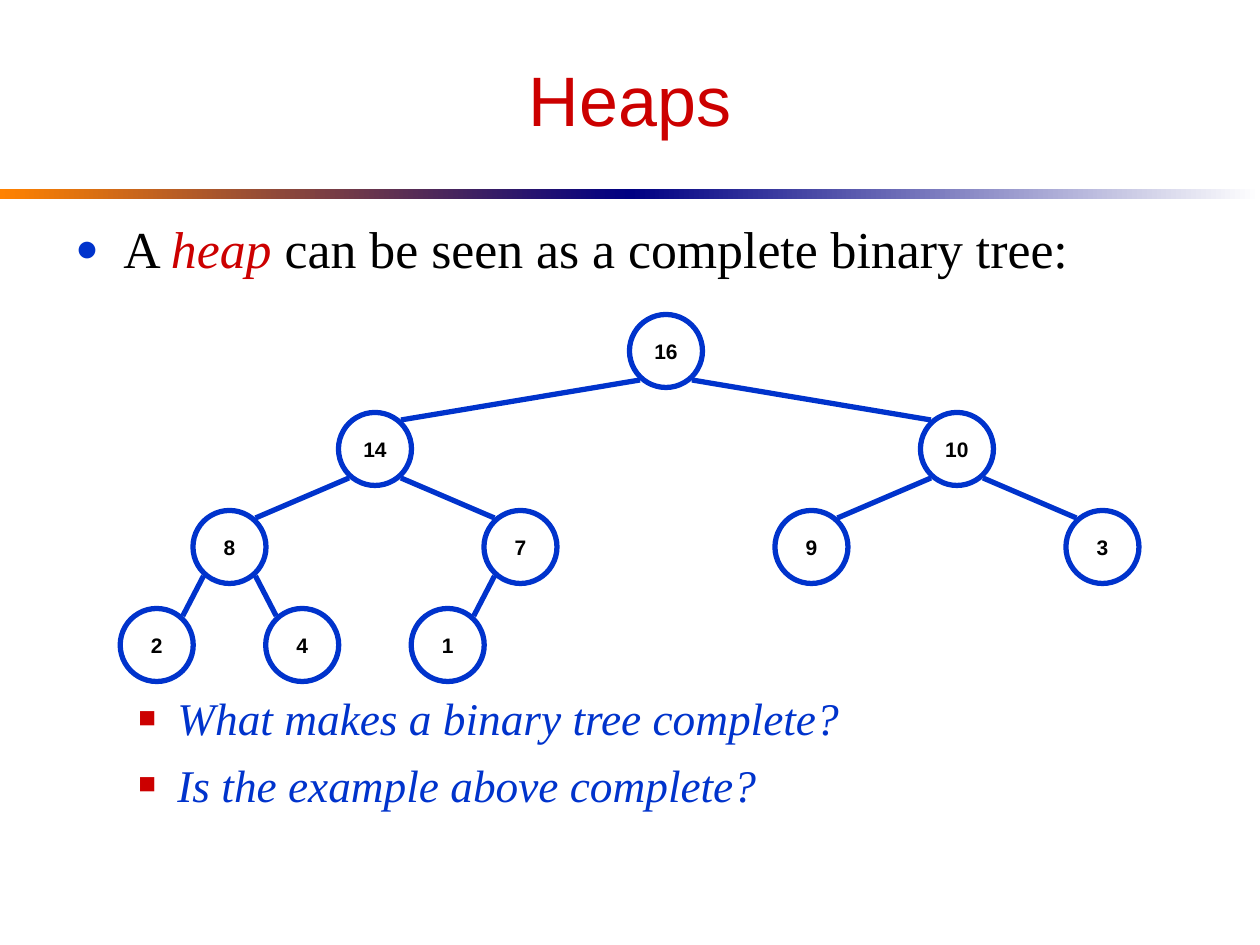
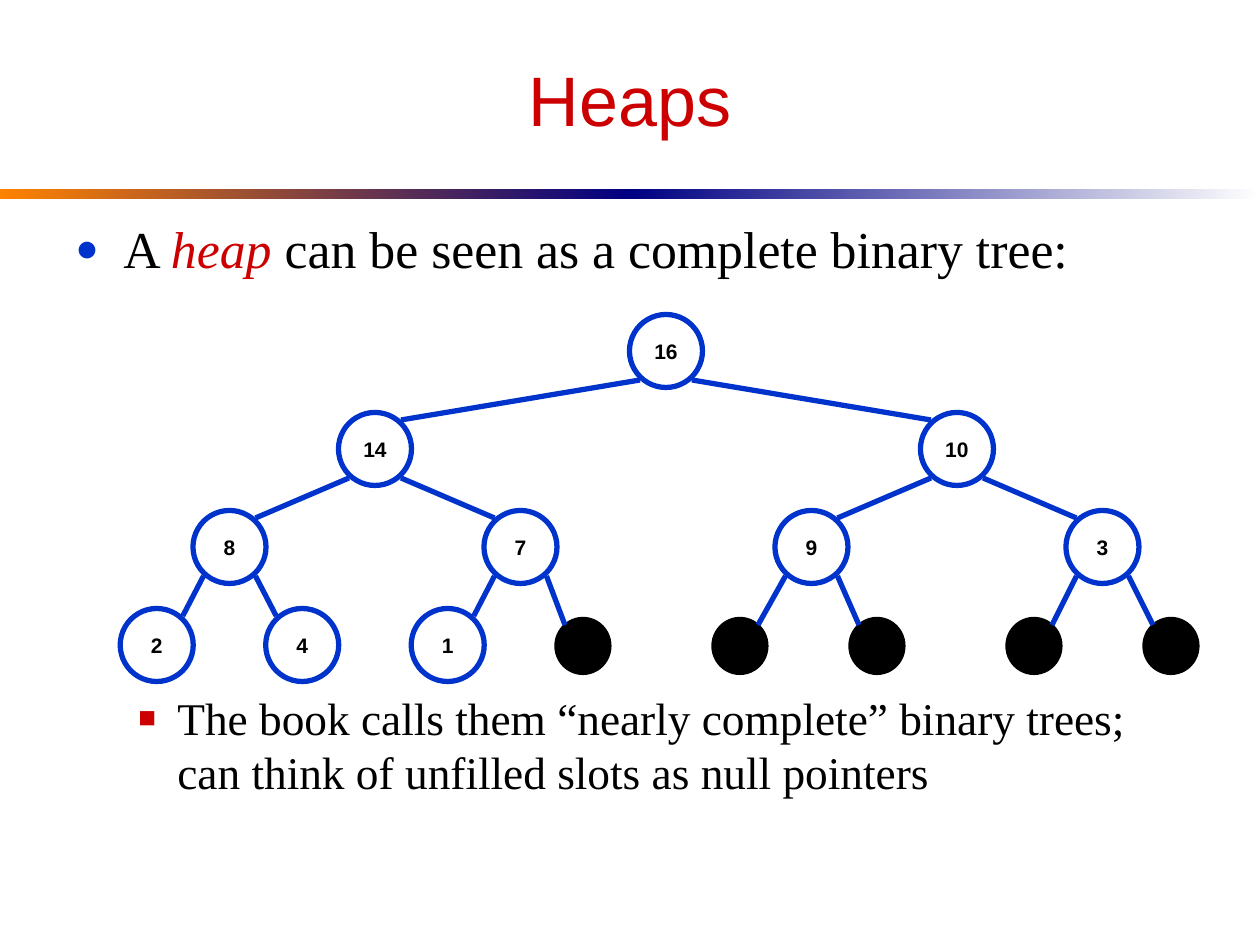
from dataclasses import dataclass
from typing import Optional

from lxml import etree
from pptx import Presentation
from pptx.dml.color import RGBColor
from pptx.enum.shapes import MSO_CONNECTOR, MSO_SHAPE
from pptx.enum.text import MSO_ANCHOR, PP_ALIGN
from pptx.oxml.ns import qn
from pptx.util import Emu, Pt

RECT, OVAL = MSO_SHAPE.RECTANGLE, MSO_SHAPE.OVAL
STRAIGHT = MSO_CONNECTOR.STRAIGHT
CENTER, MIDDLE = PP_ALIGN.CENTER, MSO_ANCHOR.MIDDLE
PX_PER_INCH = 126


@dataclass(frozen=True)
class Theme:
    red: str = "CC0000"
    blue: str = "0033CC"
    black: str = "000000"
    white: str = "FFFFFF"
    orange: str = "FF8200"
    navy: str = "000082"
    sans: str = "Arial"
    serif: str = "Times New Roman"
    title_pt: float = 40
    lead_pt: float = 29.6
    point_pt: float = 25.9
    node_pt: float = 12
    line_pt: float = 3


T = Theme()


@dataclass(frozen=True)
class Span:
    text: str
    size: float
    color: str = T.black
    font: str = T.serif
    bold: bool = False
    italic: bool = False


@dataclass(frozen=True)
class Bullet:
    char: str
    color: str
    percent: int
    margin: int
    hang: int
    leading: float


@dataclass(frozen=True)
class Band:
    left: int
    start: str
    end: str


@dataclass(frozen=True)
class Node:
    x: float
    y: float
    label: Optional[str] = None


@dataclass(frozen=True)
class HeapSlide:
    points: tuple[Span, ...]
    show_nulls: bool


LEAD_BULLET = Bullet("●", T.blue, 75, 48, 48, 35.5)
POINT_BULLET = Bullet("■", T.red, 65, 102, 39, 31)
POINT_GAP = 7
TREE_GAP = POINT_GAP + 6 * (POINT_BULLET.leading + POINT_GAP)

BANDS = (Band(0, T.orange, T.navy), Band(630, T.navy, T.white))
LEAD = (
    Span("A ", T.lead_pt),
    Span("heap", T.lead_pt, T.red, italic=True),
    Span(" can be seen as a complete binary tree:", T.lead_pt),
)
SLIDES = (
    HeapSlide((
        Span("What makes a binary tree complete?", T.point_pt, T.blue, italic=True),
        Span("Is the example above complete?", T.point_pt, T.blue, italic=True),
    ), False),
    HeapSlide((
        Span("The book calls them “nearly complete” binary trees; "
             "can think of unfilled slots as null pointers", T.point_pt),
    ), True),
)

HEAP = (16, 14, 10, 8, 7, 9, 3, 2, 4, 1)
FULL_TREE = 15
TREE_LEFT, TREE_WIDTH = 84, 1164
ROOT_Y, LEVEL_STEP = 351, 98
NODE_SIZE = 73
NODE_JOINT = (26, 29)
NULL_W, NULL_H = 52, 53
NULL_JOINT = (18, 21)
NULL_LEFT, NULL_RIGHT, NULL_STEP = 152, 289, 294


def px(n: float) -> Emu:
    return Emu(round(n * 914400 / PX_PER_INCH))


def rgb(color: str) -> RGBColor:
    return RGBColor.from_string(color)


def add_span(p, span: Span) -> None:
    r = p.add_run()
    r.text = span.text
    style = {"size": Pt(span.size), "name": span.font,
             "bold": span.bold, "italic": span.italic}
    for name, value in style.items():
        setattr(r.font, name, value)
    r.font.color.rgb = rgb(span.color)


def set_bullet(p, bullet: Bullet) -> None:
    p.line_spacing = Pt(bullet.leading)
    pPr = p._p.get_or_add_pPr()
    pPr.set("marL", str(px(bullet.margin)))
    pPr.set("indent", str(-px(bullet.hang)))
    color = etree.SubElement(pPr, qn("a:buClr"))
    etree.SubElement(color, qn("a:srgbClr"), val=bullet.color)
    etree.SubElement(pPr, qn("a:buSzPct"), val=str(bullet.percent * 1000))
    etree.SubElement(pPr, qn("a:buFont"), typeface=T.serif)
    etree.SubElement(pPr, qn("a:buChar"), char=bullet.char)


def add_text_box(s, left: int, top: int, width: int, height: int):
    tf = s.shapes.add_textbox(px(left), px(top), px(width), px(height)).text_frame
    tf.word_wrap = True
    return tf


def add_band(s, band: Band) -> None:
    sp = s.shapes.add_shape(RECT, px(band.left), px(189), px(630), px(10))
    sp.shadow.inherit = False
    sp.line.fill.background()
    sp.fill.gradient()
    sp.fill.gradient_angle = 0
    for stop, color in zip(sp.fill.gradient_stops, (band.start, band.end)):
        stop.color.rgb = rgb(color)


def add_title(s, text: str) -> None:
    tf = add_text_box(s, 63, 31, 1134, 136)
    tf.vertical_anchor = MIDDLE
    p = tf.paragraphs[0]
    p.alignment = CENTER
    add_span(p, Span(text, T.title_pt, T.red, T.sans))


def add_body(s, points: tuple[Span, ...]) -> None:
    tf = add_text_box(s, 63, 211, 1134, 598)
    p = tf.paragraphs[0]
    set_bullet(p, LEAD_BULLET)
    for span in LEAD:
        add_span(p, span)
    for i, point in enumerate(points):
        p = tf.add_paragraph()
        p.space_before = Pt(POINT_GAP if i else TREE_GAP)
        set_bullet(p, POINT_BULLET)
        add_span(p, point)


def node_at(index: int) -> Node:
    depth = (index + 1).bit_length() - 1
    column = index + 1 - 2 ** depth
    y = ROOT_Y + depth * LEVEL_STEP
    if index < len(HEAP):
        x = TREE_LEFT + TREE_WIDTH * (2 * column + 1) / 2 ** (depth + 1)
        return Node(x, y, str(HEAP[index]))
    parent, is_right = divmod(column, 2)
    return Node((NULL_RIGHT if is_right else NULL_LEFT) + NULL_STEP * parent, y + 1)


def add_node(s, node: Node) -> None:
    if node.label:
        w, h, fill, line = NODE_SIZE, NODE_SIZE, T.white, T.blue
    else:
        w, h, fill, line = NULL_W, NULL_H, T.black, T.black
    sp = s.shapes.add_shape(OVAL, px(node.x - w / 2), px(node.y - h / 2), px(w), px(h))
    sp.shadow.inherit = False
    sp.fill.solid()
    sp.fill.fore_color.rgb = rgb(fill)
    sp.line.color.rgb = rgb(line)
    sp.line.width = Pt(T.line_pt)
    if node.label:
        tf = sp.text_frame
        tf.word_wrap = False
        tf.vertical_anchor = MIDDLE
        p = tf.paragraphs[0]
        p.alignment = CENTER
        add_span(p, Span(node.label, T.node_pt, font=T.sans, bold=True))


def add_edge(s, parent: Node, child: Node) -> None:
    side = 1 if child.x > parent.x else -1
    dx, dy = NODE_JOINT
    child_dx, child_dy = NODE_JOINT if child.label else NULL_JOINT
    edge = s.shapes.add_connector(
        STRAIGHT, px(parent.x + side * dx), px(parent.y + dy),
        px(child.x - side * child_dx), px(child.y - child_dy))
    edge.line.color.rgb = rgb(T.blue)
    edge.line.width = Pt(T.line_pt)
    etree.SubElement(edge._element.spPr, qn("a:effectLst"))


def add_tree(s, count: int) -> None:
    nodes = [node_at(i) for i in range(count)]
    for node in nodes:
        add_node(s, node)
    for i in range(1, count):
        add_edge(s, nodes[(i - 1) // 2], nodes[i])


def main() -> None:
    prs = Presentation()
    prs.slide_width, prs.slide_height = px(1260), px(945)
    for content in SLIDES:
        s = prs.slides.add_slide(prs.slide_layouts[6])
        for band in BANDS:
            add_band(s, band)
        add_body(s, content.points)
        add_title(s, "Heaps")
        add_tree(s, FULL_TREE if content.show_nulls else len(HEAP))
    prs.save("out.pptx")


if __name__ == "__main__":
    main()
